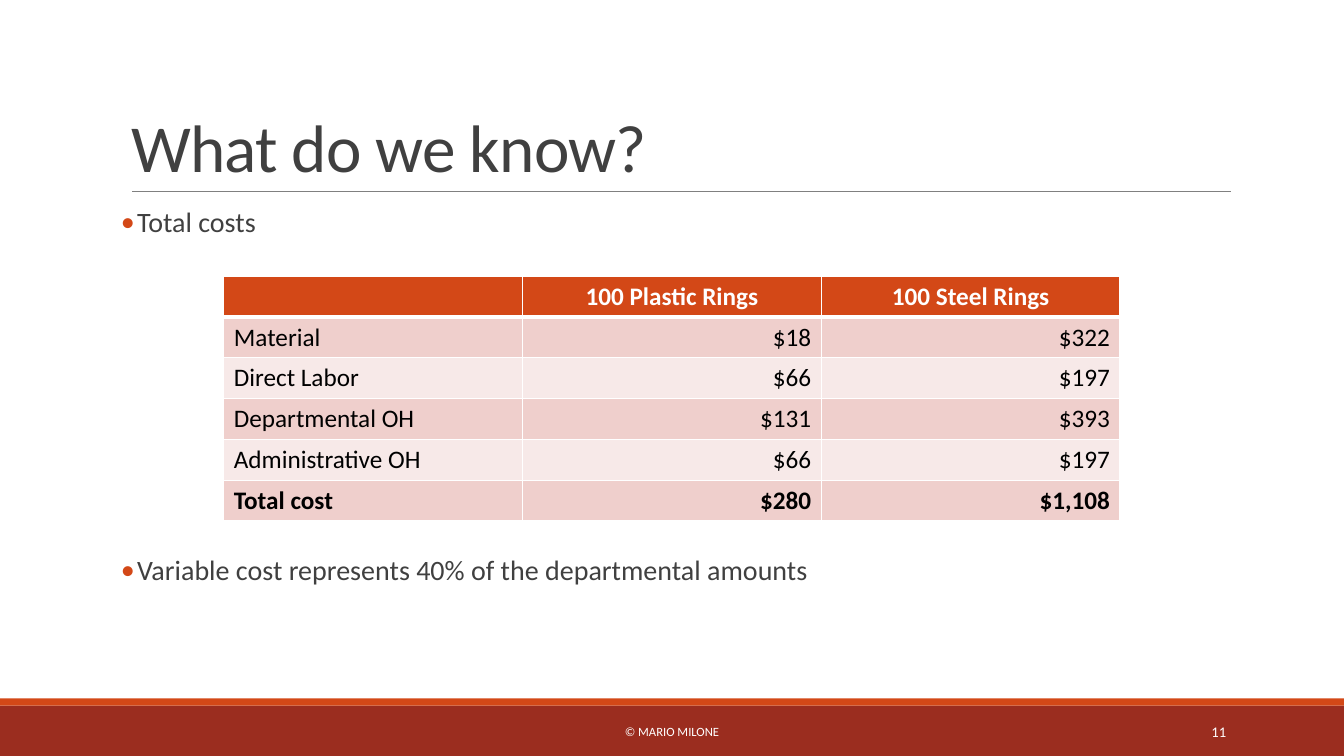
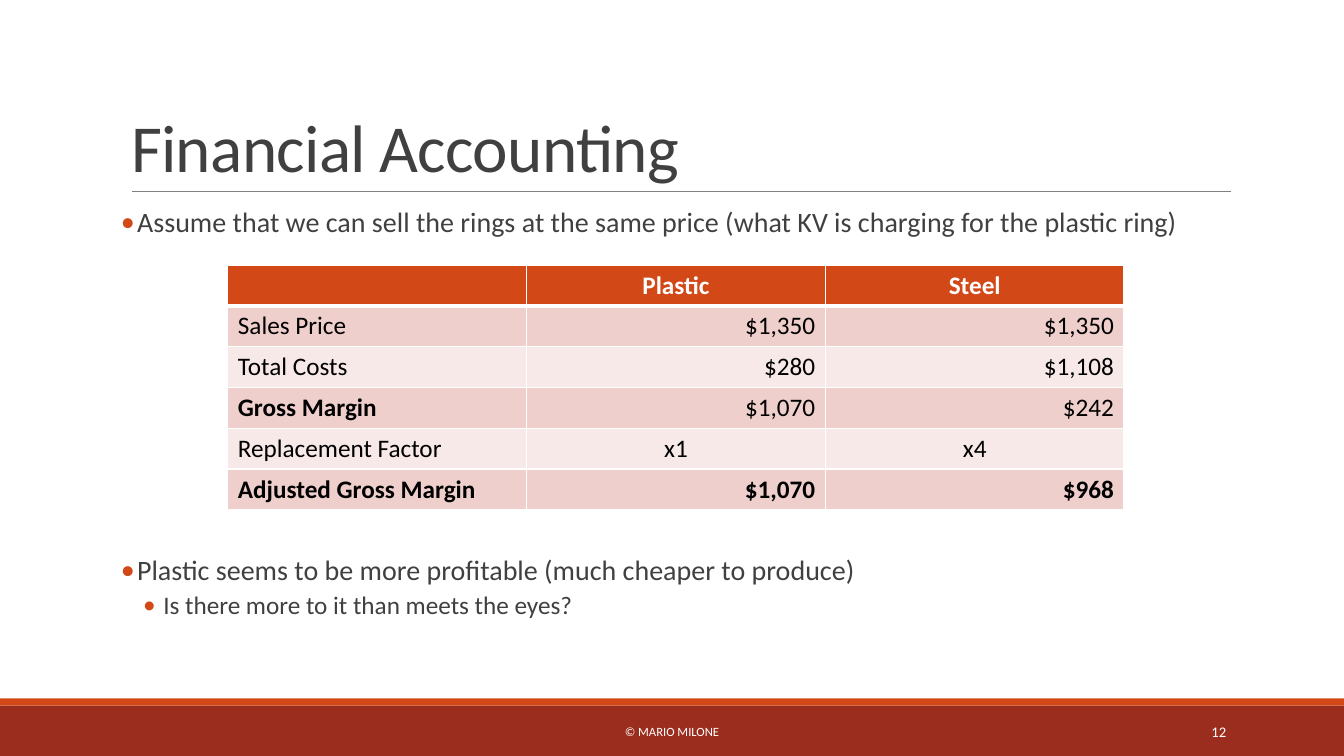
from lxml import etree
from pptx import Presentation
from pptx.dml.color import RGBColor
from pptx.enum import shapes, text
from pptx.oxml import ns
from pptx.util import Inches, Pt

WHITE = RGBColor(0xFF, 0xFF, 0xFF)
BLACK = RGBColor(0x00, 0x00, 0x00)
INK = RGBColor(0x40, 0x40, 0x40)
RULE_GRAY = RGBColor(0x80, 0x80, 0x80)
ORANGE = RGBColor(0xD3, 0x48, 0x17)
BRICK = RGBColor(0x9B, 0x2D, 0x1F)
PINK = RGBColor(0xEF, 0xCF, 0xCC)
PALE_PINK = RGBColor(0xF7, 0xE9, 0xE8)
FONT = "Calibri"
LEFT, CENTER, RIGHT = text.PP_ALIGN.LEFT, text.PP_ALIGN.CENTER, text.PP_ALIGN.RIGHT

FIRST_NUMBER = 11
FOOTER = "© MARIO MILONE"
GAP_FOR_TABLE = 225  # points between the bullets above and below the table

# Bullets are (text, level, space before); bold_labels and bold_rows name table rows.
SLIDES = [
    {
        "title": "What do we know?",
        "bullets": [
            ("Total costs", 0, 12),
            ("Variable cost represents 40% of the departmental amounts", 0, GAP_FOR_TABLE),
        ],
        "table_at": (2.22, 2.74),
        "rows": [
            ("", "100 Plastic Rings", "100 Steel Rings"),
            ("Material", "$18", "$322"),
            ("Direct Labor", "$66", "$197"),
            ("Departmental OH", "$131", "$393"),
            ("Administrative OH", "$66", "$197"),
            ("Total cost", "$280", "$1,108"),
        ],
        "bold_labels": {"Total cost"},
        "bold_rows": {"Total cost"},
    },
    {
        "title": "Financial Accounting",
        "bullets": [
            ("Assume that we can sell the rings at the same price "
             "(what KV is charging for the plastic ring)", 0, 12),
            ("Plastic seems to be more profitable (much cheaper to produce)", 0, GAP_FOR_TABLE),
            ("Is there more to it than meets the eyes?", 1, 2),
        ],
        "table_at": (2.26, 2.63),
        "rows": [
            ("", "Plastic", "Steel"),
            ("Sales Price", "$1,350", "$1,350"),
            ("Total Costs", "$280", "$1,108"),
            ("Gross Margin", "$1,070", "$242"),
            ("Replacement Factor", "x1", "x4"),
            ("Adjusted Gross Margin", "$1,070", "$968"),
        ],
        "bold_labels": {"Gross Margin", "Adjusted Gross Margin"},
        "bold_rows": {"Adjusted Gross Margin"},
    },
]

# Level: text size, left margin, hanging indent, space after
BULLET_LEVELS = [(20, 0.16, 0.16, 2), (18, 0.42, 0.2, 4)]


def write_text(paragraph, content, size=18, color=INK, bold=False, align=LEFT):
    """Add one formatted run to a paragraph and return the run."""
    paragraph.alignment = align
    run = paragraph.add_run()
    run.text = content
    run.font.name = FONT
    run.font.size = Pt(size)
    run.font.bold = bold
    run.font.color.rgb = color
    return run


def add_xml(parent, tag, **attributes):
    """Append a drawing element to parent and return it."""
    return etree.SubElement(parent, ns.qn(tag), attributes)


presentation = Presentation()
presentation.slide_width = Inches(13.33)
presentation.slide_height = Inches(7.5)
layout = presentation.slide_layouts[1]

for number, content in enumerate(SLIDES, start=FIRST_NUMBER):
    slide = presentation.slides.add_slide(layout)

    # Bands and title rule
    for top, height, color in [(7, 0.5, BRICK), (6.93, 0.07, ORANGE)]:
        band = slide.shapes.add_shape(
            shapes.MSO_SHAPE.RECTANGLE, 0, Inches(top),
            presentation.slide_width, Inches(height))
        band.shadow.inherit = False
        band.fill.solid()
        band.fill.fore_color.rgb = color
        band.line.fill.background()
    rule = slide.shapes.add_connector(
        shapes.MSO_CONNECTOR.STRAIGHT,
        Inches(1.31), Inches(1.9), Inches(12.21), Inches(1.9))
    rule.line.color.rgb = RULE_GRAY
    rule.line.width = Pt(0.5)
    add_xml(rule._element.spPr, "a:effectLst")

    # Title
    title = slide.shapes.title
    title.left, title.top = Inches(1.2), Inches(0.31)
    title.width, title.height = Inches(11), Inches(1.59)
    title.text_frame.auto_size = text.MSO_AUTO_SIZE.NONE
    title.text_frame.vertical_anchor = text.MSO_ANCHOR.BOTTOM
    paragraph = title.text_frame.paragraphs[0]
    paragraph.line_spacing = 0.85
    run = write_text(paragraph, content["title"], size=48)
    run.font._element.set("spc", "-50")

    # Bullets
    body = slide.placeholders[1]
    body.left, body.top = Inches(1.2), Inches(2.02)
    body.width, body.height = Inches(11), Inches(4.4)
    frame = body.text_frame
    frame.auto_size = text.MSO_AUTO_SIZE.NONE
    frame.margin_left = frame.margin_right = 0
    for index, (line, level, space_before) in enumerate(content["bullets"]):
        size, margin, indent, space_after = BULLET_LEVELS[level]
        paragraph = frame.add_paragraph() if index else frame.paragraphs[0]
        paragraph.level = level
        paragraph.line_spacing = 0.9
        paragraph.space_before = Pt(space_before)
        paragraph.space_after = Pt(space_after)
        write_text(paragraph, line, size=size)
        properties = paragraph._element.get_or_add_pPr()
        properties.set("marL", str(Inches(margin)))
        properties.set("indent", str(-Inches(indent)))
        add_xml(add_xml(properties, "a:buClr"), "a:srgbClr", val=str(ORANGE))
        add_xml(properties, "a:buFont", typeface=FONT)
        add_xml(properties, "a:buChar", char="•")

    # Footer and slide number
    for left, width, label, size, align in [
        (4.03, 5.27, FOOTER, 9, CENTER),
        (10.83, 1.43, str(number), 10.5, RIGHT),
    ]:
        box = slide.shapes.add_textbox(Inches(left), Inches(7.06), Inches(width), Inches(0.4))
        box.text_frame.word_wrap = True
        box.text_frame.vertical_anchor = text.MSO_ANCHOR.MIDDLE
        write_text(box.text_frame.paragraphs[0], label, size=size, color=WHITE, align=align)

    # Cost table
    rows = content["rows"]
    left, top = content["table_at"]
    table = slide.shapes.add_table(
        len(rows), len(rows[0]), Inches(left), Inches(top), Inches(8.89), Inches(2.43)).table
    table.horz_banding = False
    for row_index, row in enumerate(rows):
        is_header = row_index == 0
        for column_index, value in enumerate(row):
            cell = table.cell(row_index, column_index)
            properties = cell._tc.get_or_add_tcPr()
            for side in "LRTB":
                is_thick = (side, row_index) in [("B", 0), ("T", 1)]
                border = add_xml(properties, f"a:ln{side}", w=str(Pt(3 if is_thick else 1)))
                add_xml(add_xml(border, "a:solidFill"), "a:srgbClr", val=str(WHITE))
            cell.fill.solid()
            if is_header:
                cell.fill.fore_color.rgb = ORANGE
            else:
                cell.fill.fore_color.rgb = PINK if row_index % 2 else PALE_PINK

            if is_header or value.startswith("x"):
                align = CENTER
            else:
                align = RIGHT if column_index else LEFT
            bold_names = content["bold_rows" if column_index else "bold_labels"]
            if value:
                write_text(
                    cell.text_frame.paragraphs[0], value, align=align,
                    color=WHITE if is_header else BLACK,
                    bold=is_header or row[0] in bold_names)

presentation.save("out.pptx")
